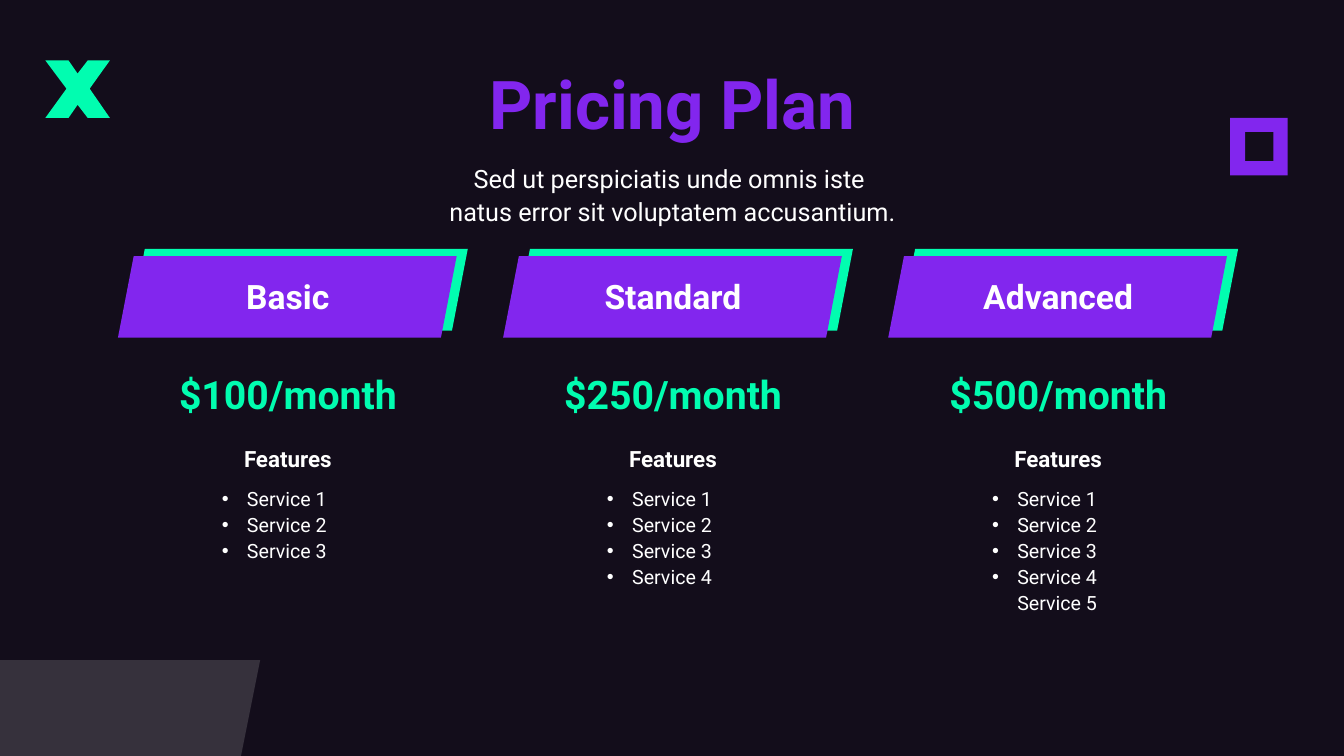
from lxml.etree import SubElement
from pptx import Presentation
from pptx.dml.color import RGBColor
from pptx.enum.shapes import MSO_SHAPE
from pptx.enum.text import MSO_ANCHOR, PP_ALIGN
from pptx.oxml.ns import qn
from pptx.util import Inches, Pt

COLORS = {
    "background": "130D1B",
    "green": "01FDB0",
    "purple": "8226EE",
    "white": "FFFFFF",
}
FONT = "Roboto"
COLUMN_PITCH = 3.82
PLANS = [
    ("Basic", "$100/month", ["Service 1", "Service 2", "Service 3"]),
    ("Standard", "$250/month", ["Service 1", "Service 2", "Service 3", "Service 4"]),
    ("Advanced", "$500/month", ["Service 1", "Service 2", "Service 3", "Service 4\vService 5"]),
]
RING = [
    [(12.35, 1.31), (12.35, 1.6), (12.63, 1.6), (12.63, 1.31)],
    [(12.2, 1.17), (12.77, 1.17), (12.77, 1.74), (12.2, 1.74)],
]
CROSS = [[
    (0.45, 0.6), (0.68, 0.6), (0.77, 0.73), (0.87, 0.6), (1.09, 0.6), (0.89, 0.88),
    (1.09, 1.17), (0.87, 1.17), (0.77, 1.04), (0.68, 1.17), (0.45, 1.17), (0.66, 0.88),
]]
CORNER = [[(0, 6.55), (2.58, 6.55), (2.39, 7.5), (0, 7.5)]]


def apply_format(target, values):
    for name, value in values.items():
        setattr(target, name, value)


def paint(shape, color, opacity=None):
    shape.shadow.inherit = False
    shape.line.fill.background()
    shape.fill.solid()
    shape.fill.fore_color.rgb = RGBColor.from_string(COLORS[color])
    if opacity is not None:
        color_element = shape._element.spPr.find(qn("a:solidFill"))[0]
        SubElement(color_element, qn("a:alpha"), val=str(opacity * 1000))


def add_outline(slide, contours, color, opacity=None):
    contours = [[(Inches(x), Inches(y)) for x, y in contour] for contour in contours]
    builder = slide.shapes.build_freeform(*contours[0][0])
    for index, contour in enumerate(contours):
        if index:
            builder.move_to(*contour[0])
        builder.add_line_segments(contour[1:], close=True)
    paint(builder.convert_to_shape(), color, opacity)


def add_panel(slide, left, top, color):
    shape = slide.shapes.add_shape(
        MSO_SHAPE.PARALLELOGRAM, Inches(left), Inches(top), Inches(3.36), Inches(0.81)
    )
    shape.adjustments[0] = 0.193
    paint(shape, color)


def add_bullet(paragraph):
    properties = paragraph._p.get_or_add_pPr()
    properties.set("marL", str(Inches(0.25)))
    properties.set("indent", str(-Inches(0.25)))
    SubElement(properties, qn("a:buFont"), typeface="Arial")
    SubElement(properties, qn("a:buChar"), char="•")


def add_text(slide, box, lines, size, color="white", bold=False,
             anchor=MSO_ANCHOR.TOP, spacing=1.1, bulleted=False):
    frame = slide.shapes.add_textbox(*map(Inches, box)).text_frame
    apply_format(frame, {
        "word_wrap": True, "vertical_anchor": anchor,
        "margin_left": 0, "margin_right": 0, "margin_top": 0, "margin_bottom": 0,
    })
    for index, line in enumerate(lines):
        paragraph = frame.add_paragraph() if index else frame.paragraphs[0]
        paragraph.text = line
        if bulleted:
            add_bullet(paragraph)
        apply_format(paragraph, {
            "alignment": PP_ALIGN.LEFT if bulleted else PP_ALIGN.CENTER,
            "line_spacing": spacing,
        })
        for font in [paragraph.font] + [run.font for run in paragraph.runs]:
            apply_format(font, {"name": FONT, "size": Pt(size), "bold": bold})
            font.color.rgb = RGBColor.from_string(COLORS[color])


def add_plan(slide, offset, name, price, services):
    add_panel(slide, 1.28 + offset, 2.47, "green")
    add_panel(slide, 1.17 + offset, 2.54, "purple")
    add_text(slide, (1.49 + offset, 2.54, 2.73, 0.75), [name], 24,
             bold=True, anchor=MSO_ANCHOR.MIDDLE)
    add_text(slide, (1.2 + offset, 3.51, 3.31, 0.75), [price], 28, "green",
             bold=True, anchor=MSO_ANCHOR.MIDDLE)
    add_text(slide, (1.2 + offset, 4.21, 3.31, 0.47), ["Features"], 16,
             bold=True, anchor=MSO_ANCHOR.BOTTOM)
    add_text(slide, (2.2 + offset, 4.81, 1.3, 2.08), services, 14, bulleted=True)


def main():
    presentation = Presentation()
    apply_format(presentation, {"slide_width": Inches(13.33), "slide_height": Inches(7.5)})
    slide = presentation.slides.add_slide(presentation.slide_layouts[6])
    slide.background.fill.solid()
    slide.background.fill.fore_color.rgb = RGBColor.from_string(COLORS["background"])

    add_outline(slide, RING, "purple")
    add_outline(slide, CROSS, "green")
    add_outline(slide, CORNER, "white", opacity=15)
    add_text(slide, (2.25, 0, 8.84, 1.43), ["Pricing Plan"], 48, "purple",
             bold=True, anchor=MSO_ANCHOR.BOTTOM, spacing=0.9)
    add_text(slide, (2.25, 1.59, 8.84, 0.88),
             ["Sed ut perspiciatis unde omnis iste \vnatus error sit voluptatem accusantium."], 18)
    for column, plan in enumerate(PLANS):
        add_plan(slide, column * COLUMN_PITCH, *plan)

    presentation.save("out.pptx")


if __name__ == "__main__":
    main()
